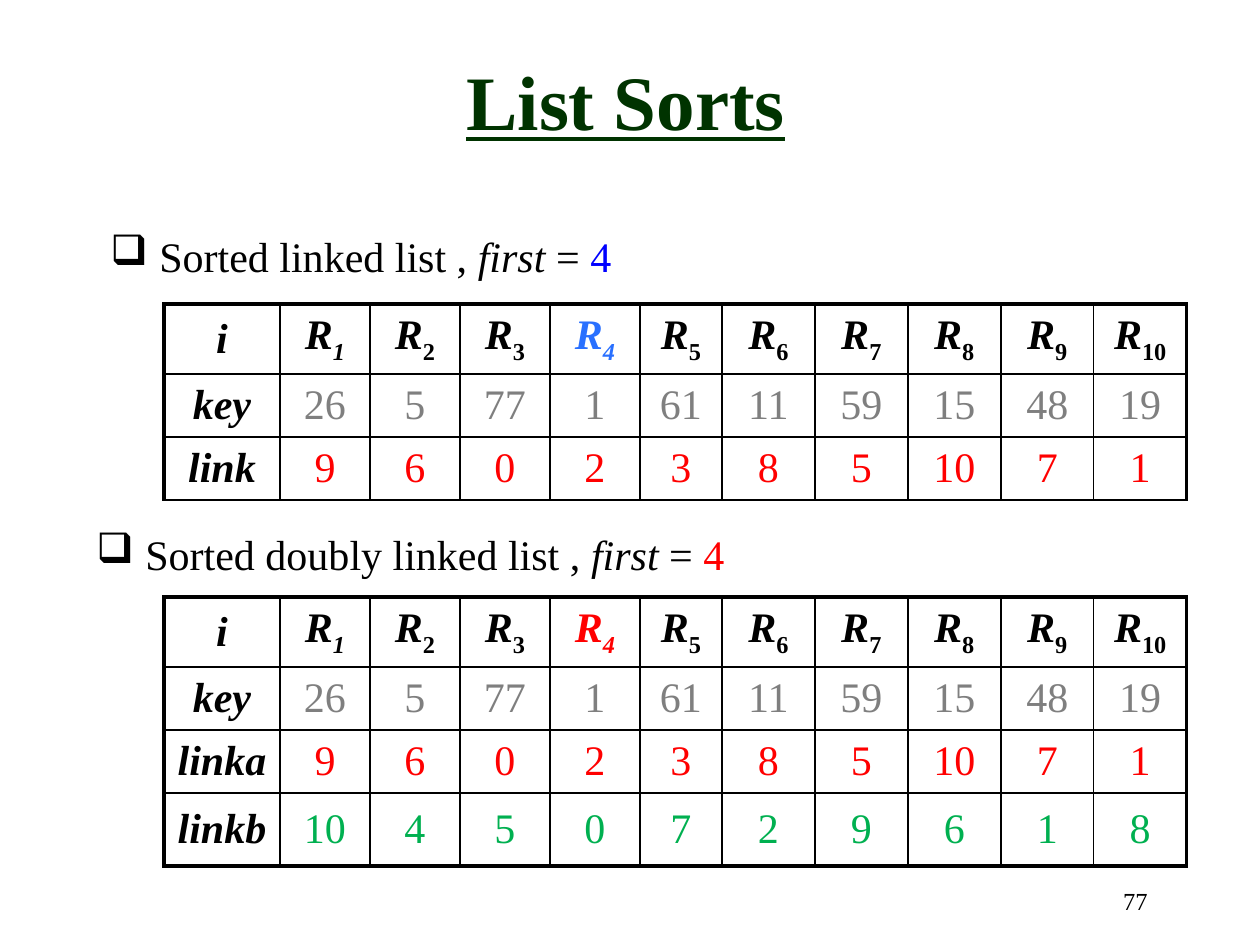
import pptx
import pptx.util
import pptx.dml.color
import pptx.enum.text
import pptx.oxml
import pptx.oxml.ns
import lxml.etree

PX = 914400 // 126
FONT = "Times New Roman"
BLACK = pptx.dml.color.RGBColor(0x00, 0x00, 0x00)
DARK_GREEN = pptx.dml.color.RGBColor(0x00, 0x33, 0x00)
BLUE = pptx.dml.color.RGBColor(0x00, 0x00, 0xFF)
SKY = pptx.dml.color.RGBColor(0x29, 0x70, 0xFF)
RED = pptx.dml.color.RGBColor(0xFF, 0x00, 0x00)
GREEN = pptx.dml.color.RGBColor(0x00, 0xB0, 0x50)
GRAY = pptx.dml.color.RGBColor(0x7F, 0x7F, 0x7F)
ALIGN = pptx.enum.text.PP_ALIGN
ANCHOR = pptx.enum.text.MSO_ANCHOR


def set_font(font, size, color, bold=False, italic=False):
    font.name = FONT
    font.size = pptx.util.Pt(size)
    font.color.rgb = color
    font.bold = bold
    font.italic = italic


def set_border(cell, side, points):
    properties = cell._tc.get_or_add_tcPr()
    line = lxml.etree.SubElement(properties, pptx.oxml.ns.qn(f"a:ln{side}"))
    line.set("w", str(pptx.util.Pt(points)))
    fill = lxml.etree.SubElement(line, pptx.oxml.ns.qn("a:solidFill"))
    lxml.etree.SubElement(fill, pptx.oxml.ns.qn("a:srgbClr")).set("val", str(BLACK))


presentation = pptx.Presentation()
presentation.slide_width = pptx.util.Inches(10)
presentation.slide_height = pptx.util.Inches(7.5)
slide = presentation.slides.add_slide(presentation.slide_layouts[5])

title = slide.shapes.title
title.left, title.top, title.width, title.height = [n * PX for n in (126, 21, 1000, 158)]
title.text_frame.text = "List Sorts"
title.text_frame.vertical_anchor = ANCHOR.MIDDLE
heading = title.text_frame.paragraphs[0]
heading.alignment = ALIGN.CENTER
set_font(heading.font, 44, DARK_GREEN, bold=True)
heading.font.underline = True

page_box = slide.shapes.add_textbox(898 * PX, 880 * PX, 262 * PX, 63 * PX)
page_box.text_frame.word_wrap = True
page_number = page_box.text_frame.paragraphs[0]
page_number.text = "77"
page_number.alignment = ALIGN.RIGHT
set_font(page_number.font, 14, BLACK)

captions = [
    (98, 224, 532, "Sorted linked list , ", BLUE),
    (84, 522, 660, "Sorted doubly linked list , ", RED),
]
for left, top, width, wording, first_color in captions:
    caption_box = slide.shapes.add_textbox(left * PX, top * PX, width * PX, 64 * PX)
    caption_box.text_frame.word_wrap = False
    caption = caption_box.text_frame.paragraphs[0]
    indents = caption._p.get_or_add_pPr()
    indents.set("marL", str(49 * PX))
    indents.set("indent", str(-49 * PX))
    lxml.etree.SubElement(indents, pptx.oxml.ns.qn("a:buChar")).set("char", "❑")
    for text, color, italic in [
        (wording, BLACK, False),
        ("first", BLACK, True),
        (" = ", BLACK, False),
        ("4", first_color, False),
    ]:
        part = caption.add_run()
        part.text = text
        set_font(part.font, 24, color, italic=italic)

column_widths = [116] + [90] * 4 + [82] + [93] * 5
keys = [26, 5, 77, 1, 61, 11, 59, 15, 48, 19]
next_links = [9, 6, 0, 2, 3, 8, 5, 10, 7, 1]
previous_links = [10, 4, 5, 0, 7, 2, 9, 6, 1, 8]
records = range(1, 11)
first_record = 4
italic_subscripts = (1, 4)

lists = [
    (304, SKY, 1, [70, 63, 63],
     [("key", keys, GRAY), ("link", next_links, RED)]),
    (597, RED, 2.25, [70, 63, 63, 73],
     [("key", keys, GRAY), ("linka", next_links, RED), ("linkb", previous_links, GREEN)]),
]
for top, first_color, bottom_line, row_heights, fields in lists:
    rows = [("i", records, BLACK)] + fields
    table = slide.shapes.add_table(
        len(rows), len(column_widths), 164 * PX, top * PX,
        sum(column_widths) * PX, sum(row_heights) * PX).table
    table.first_row = False
    table.horz_banding = False
    for column, width in zip(table.columns, column_widths):
        column.width = width * PX
    for r, (label, values, color) in enumerate(rows):
        table.rows[r].height = row_heights[r] * PX
        for c, value in enumerate([label, *values]):
            cell = table.cell(r, c)
            set_border(cell, "L", 2.25 if c == 0 else 1)
            set_border(cell, "R", 2.25 if c == len(values) else 1)
            set_border(cell, "T", 2.25 if r == 0 else 1)
            set_border(cell, "B", bottom_line if r == len(rows) - 1 else 1)
            cell.fill.background()
            cell.vertical_anchor = ANCHOR.MIDDLE
            entry = cell.text_frame.paragraphs[0]
            entry.alignment = ALIGN.CENTER
            if r == 0 and c > 0:
                record_color = first_color if value == first_record else BLACK
                record = entry.add_run()
                record.text = "R"
                set_font(record.font, 24, record_color, bold=True, italic=True)
                subscript = entry.add_run()
                subscript.text = str(value)
                set_font(subscript.font, 24, record_color, bold=True,
                         italic=value in italic_subscripts)
                subscript._r.get_or_add_rPr().set("baseline", "-25000")
            else:
                entry.text = str(value)
                set_font(entry.font, 24, BLACK if c == 0 else color,
                         bold=c == 0, italic=c == 0)

presentation.save("out.pptx")
